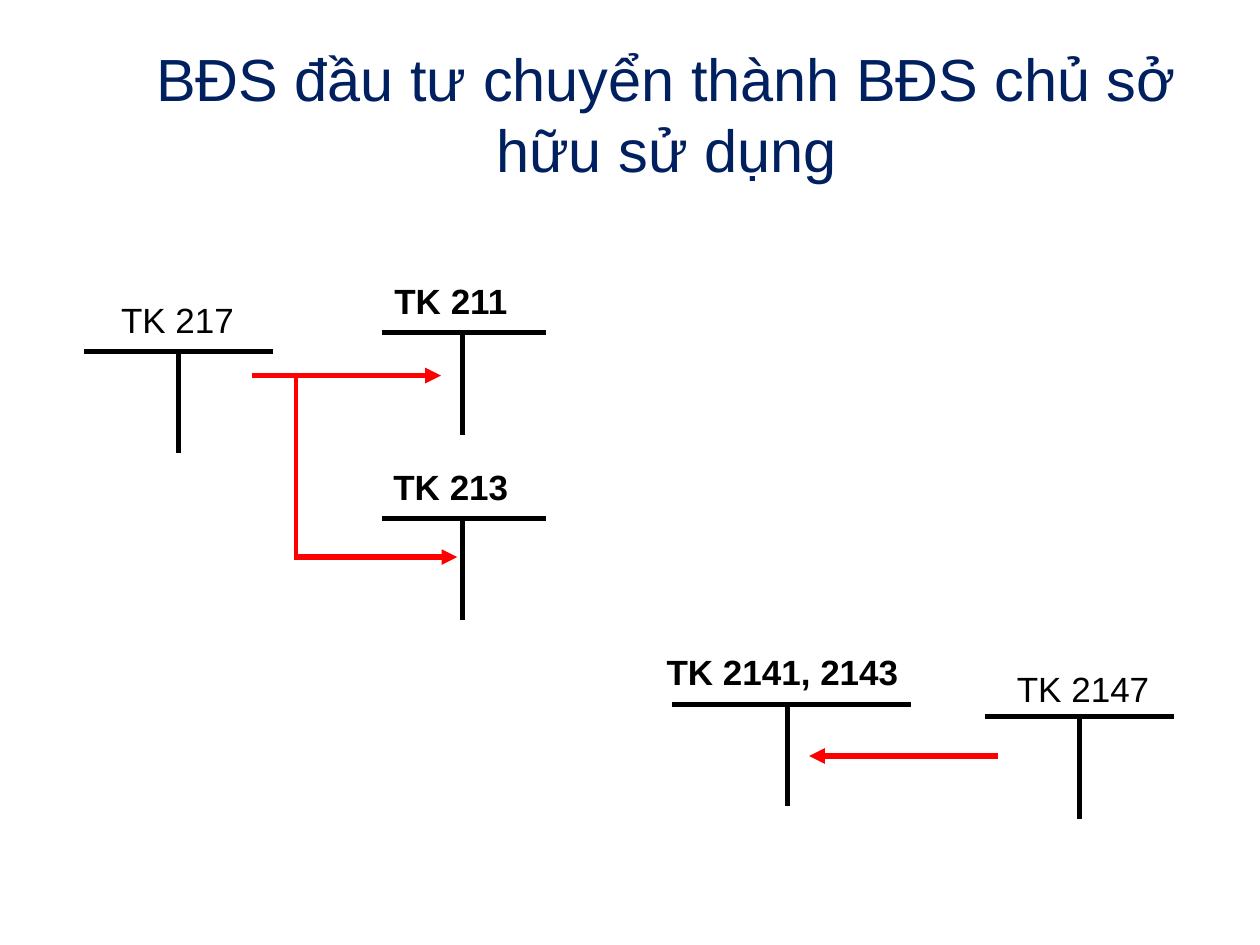
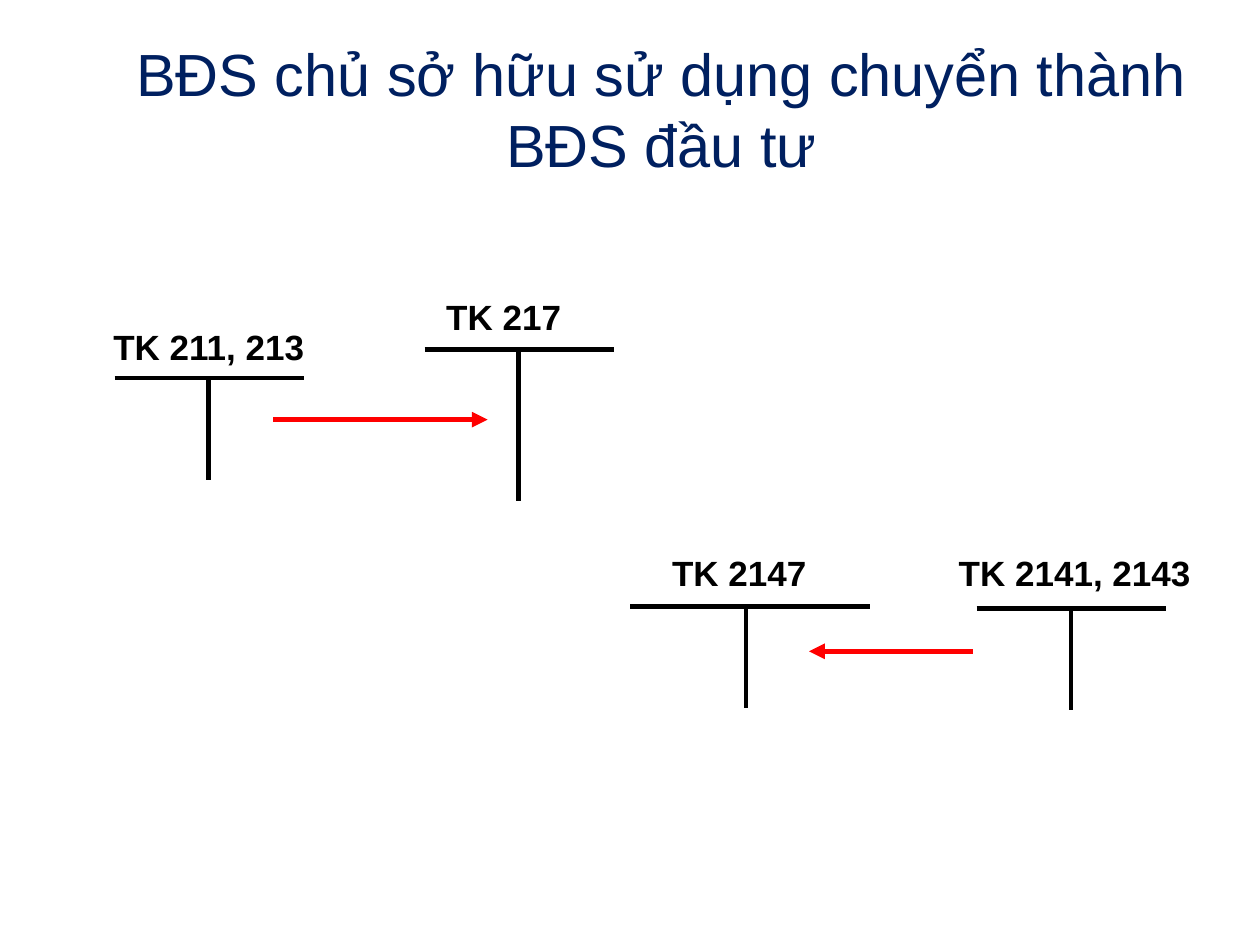
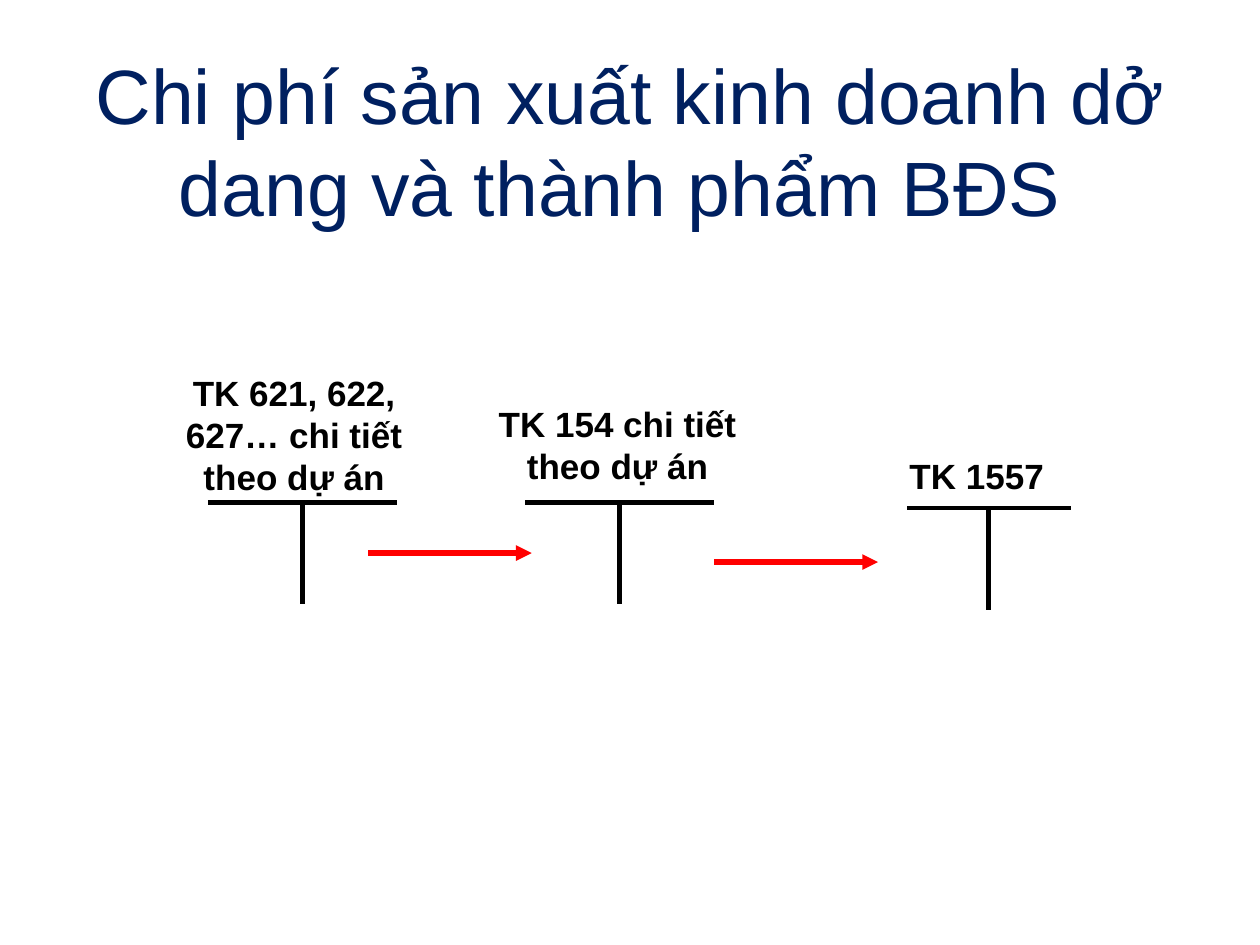
from pptx import Presentation
from pptx import util as u
from pptx.dml.color import RGBColor
from pptx.enum import shapes, text
from pptx.oxml import ns, xmlchemy

NAVY = RGBColor(0x00, 0x20, 0x60)
BLACK = RGBColor(0x00, 0x00, 0x00)
RED = RGBColor(0xFF, 0x00, 0x00)
FONT = "Arial"
LABEL_SIZE = 20
LABEL_HEIGHT = 1.12
ACCOUNT_LINE = 2.75
ARROW_LINE = 3
NARROW = (3.3, 1.63)
MEDIUM = (3.81, 1.9)
WIDE = (4.83, 2.34)


def add_text(para, words, size, color, bold=False):
    para.alignment = text.PP_ALIGN.CENTER
    span = para.add_run()
    span.text = words
    span.font.name = FONT
    span.font.size = u.Pt(size)
    span.font.bold = bold
    span.font.color.rgb = color


def add_page(deck, title, left, width, height, size=34):
    page = deck.slides.add_slide(deck.slide_layouts[5])
    box = page.shapes.title
    box.left, box.top = u.Cm(left), u.Cm(0.76)
    box.width, box.height = u.Cm(width), u.Cm(height)
    frame = box.text_frame
    frame.auto_size = text.MSO_AUTO_SIZE.NONE
    frame.vertical_anchor = text.MSO_ANCHOR.MIDDLE
    add_text(frame.paragraphs[0], title, size, NAVY)
    return page


def add_line(parent, start, end, color, weight):
    line = parent.shapes.add_connector(
        shapes.MSO_CONNECTOR.STRAIGHT, *(u.Cm(value) for value in start + end))
    line.line.color.rgb = color
    line.line.width = u.Pt(weight)
    line._element.spPr.append(xmlchemy.OxmlElement("a:effectLst"))
    return line


def add_arrow(parent, left, top, length):
    arrow = add_line(parent, (left, top), (left + length, top), RED, ARROW_LINE)
    head = xmlchemy.OxmlElement("a:tailEnd")
    head.set("type", "triangle")
    arrow._element.spPr.find(ns.qn("a:ln")).append(head)


def add_label(page, words, left, top, width, height=LABEL_HEIGHT, bold=True):
    box = page.shapes.add_textbox(u.Cm(left), u.Cm(top), u.Cm(width), u.Cm(height))
    frame = box.text_frame
    frame.word_wrap = True
    frame.auto_size = text.MSO_AUTO_SIZE.SHAPE_TO_FIT_TEXT
    add_text(frame.paragraphs[0], words, LABEL_SIZE, BLACK, bold)


def add_account(page, left, top, form=MEDIUM, depth=2.05):
    width, stem = form
    add_line(page, (left + stem, top), (left + stem, top + depth), BLACK, ACCOUNT_LINE)
    add_line(page, (left, top), (left + width, top), BLACK, ACCOUNT_LINE)


def add_investment_to_owner(deck):
    page = add_page(deck, "BĐS đầu tư chuyển thành BĐS chủ sở hữu sử dụng", 2.54, 21.79, 3.05)
    add_label(page, "TK 217", 1.7, 5.89, 3.76, bold=False)
    add_account(page, 1.7, 7.09)
    add_label(page, "TK 2147", 20.12, 13.34, 3.43, bold=False)
    add_account(page, 19.86, 14.45)
    for words, top in (("TK 211", 5.51), ("TK 213", 9.25)):
        add_label(page, words, 6.55, top, 5.08)
        add_account(page, 7.7, top + 1.2, NARROW)
    add_label(page, "TK 2141, 2143", 12.5, 12.98, 6.55)
    add_account(page, 13.54, 14.2, WIDE)
    add_arrow(page, 20.12, 15.24, -3.81)
    branch = page.shapes.add_group_shape()
    add_arrow(branch, 5.08, 7.57, 3.81)
    add_arrow(branch, 5.92, 11.23, 3.3)
    add_line(branch, (5.97, 7.57), (5.97, 11.28), RED, 2.25)


def add_owner_to_investment(deck):
    page = add_page(deck, "BĐS chủ sở hữu sử dụng chuyển thành BĐS đầu tư", 2.31, 22.05, 2.84)
    add_label(page, "TK 217", 6.88, 5.84, 6.55)
    add_account(page, 8.56, 7.04, depth=3.05)
    add_label(page, "TK 211, 213", 1.91, 6.43, 4.6)
    add_account(page, 2.31, 7.62)
    add_label(page, "TK 2147", 11.63, 11, 6.55)
    add_account(page, 12.7, 12.22, WIDE)
    add_label(page, "TK 2141, 2143", 19, 11, 5.33)
    add_account(page, 19.69, 12.27)
    add_arrow(page, 5.51, 8.46, 4.32)
    add_arrow(page, 19.61, 13.13, -3.3)


def add_production_costs(deck):
    page = add_page(deck, "Chi phí sản xuất kinh doanh dở dang và thành phẩm BĐS ",
                    1.07, 23.29, 4.11, size=44)
    add_label(page, "TK 621, 622, 627… chi tiết theo dự án", 2.97, 7.37, 5.92, 2.82)
    add_account(page, 4.19, 10.13)
    add_label(page, "TK 154 chi tiết theo dự án", 9.53, 7.98, 5.84, 3.25)
    add_account(page, 10.59, 10.13)
    add_label(page, "TK 1557", 17.15, 9.04, 5.08)
    add_account(page, 18.29, 10.24, NARROW)
    add_arrow(page, 7.42, 11.15, 3.3)
    add_arrow(page, 14.4, 11.33, 3.3)


def main():
    deck = Presentation()
    deck.slide_width, deck.slide_height = u.Cm(25.4), u.Cm(19.05)
    add_investment_to_owner(deck)
    add_owner_to_investment(deck)
    add_production_costs(deck)
    deck.save("out.pptx")


if __name__ == "__main__":
    main()
